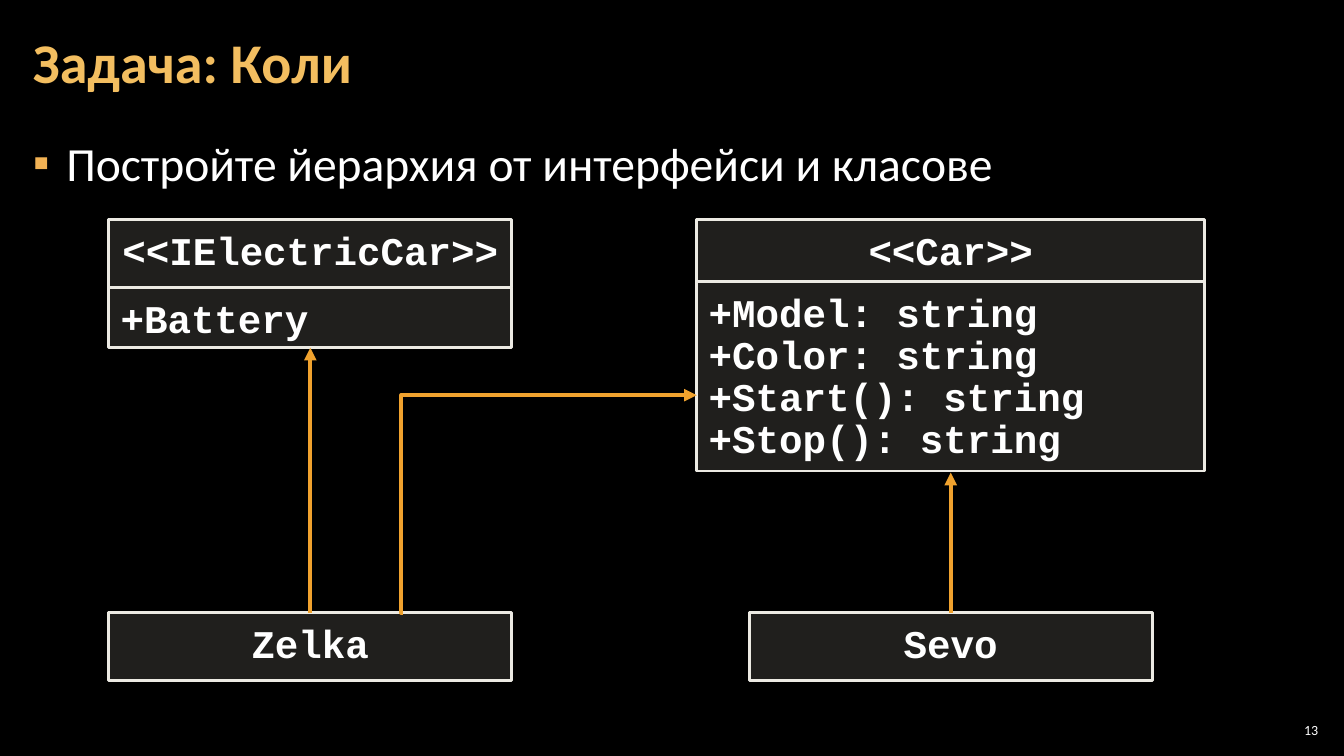
from lxml.etree import SubElement
from pptx import Presentation
from pptx.dml.color import RGBColor
from pptx.enum.shapes import MSO_CONNECTOR as Connector, MSO_SHAPE as Shape
from pptx.enum.text import MSO_ANCHOR as Anchor, MSO_AUTO_SIZE as AutoSize, PP_ALIGN as Align
from pptx.oxml.ns import qn
from pptx.util import Cm, Pt

WHITE, ORANGE = "FFFFFF", "F0A22E"
BOX_FILL, BOX_LINE = "D9D5C7", "ECEAE3"
CODE_FONT, TEXT_FONT = "Courier New", "Calibri"


def color(hex_text):
    return RGBColor.from_string(hex_text)


def place(shape, left, top, width, height):
    shape.left, shape.top = Cm(left), Cm(top)
    shape.width, shape.height = Cm(width), Cm(height)


def write(shape, lines, size, font=TEXT_FONT, fill=WHITE, bold=False, align=Align.LEFT,
          anchor=Anchor.TOP, margins=(0.3, 0.1), spacing=None, around=0, bullet=None):
    """Fill a shape with one paragraph per line; bullet is (character, color, indent)."""
    frame = shape.text_frame
    frame.text = "\n".join(lines)
    frame.word_wrap = True
    frame.auto_size = AutoSize.NONE
    frame.vertical_anchor = anchor
    frame.margin_left = frame.margin_right = Cm(margins[0])
    frame.margin_top = frame.margin_bottom = Cm(margins[1])
    for index, paragraph in enumerate(frame.paragraphs):
        paragraph.alignment = align
        paragraph.line_spacing = spacing
        paragraph.space_before = Pt(around if index else 0)
        paragraph.space_after = Pt(around)
        if bullet:
            add_bullet(paragraph, *bullet)
        for run in paragraph.runs:
            run.font.name = font
            run.font.size = Pt(size)
            run.font.bold = bold
            run.font.color.rgb = color(fill)


def add_bullet(paragraph, character, fill, indent):
    properties = paragraph._p.get_or_add_pPr()
    properties.set("marL", str(Cm(indent)))
    properties.set("indent", str(-Cm(indent)))
    bullet_color = SubElement(properties, qn("a:buClr"))
    SubElement(bullet_color, qn("a:srgbClr"), val=fill)
    SubElement(properties, qn("a:buChar"), char=character)


def add_compartment(slide, lines, left, top, width, height, align=Align.CENTER):
    shape = slide.shapes.add_shape(Shape.RECTANGLE, Cm(left), Cm(top), Cm(width), Cm(height))
    shape.shadow.inherit = False
    shape.fill.solid()
    shape.fill.fore_color.rgb = color(BOX_FILL)
    fill_color = shape._element.spPr.find(qn("a:solidFill")).find(qn("a:srgbClr"))
    SubElement(fill_color, qn("a:alpha"), val="15000")
    shape.line.color.rgb = color(BOX_LINE)
    shape.line.width = Pt(2)
    write(shape, lines, 28, CODE_FONT, bold=True, align=align,
          margins=(0.3, 0.3), spacing=Pt(30))


def add_class(slide, name, members, left, top, width, name_height, members_height=0):
    """Draw a class box: its name and, below it, its members if there are any."""
    add_compartment(slide, [name], left, top, width, name_height)
    if members:
        add_compartment(slide, members, left, top + name_height, width,
                        members_height, Align.LEFT)


def add_arrow(slide, start, end, kind=Connector.STRAIGHT):
    arrow = slide.shapes.add_connector(kind, *map(Cm, start + end))
    arrow.line.color.rgb = color(ORANGE)
    arrow.line.width = Pt(3)
    SubElement(arrow.line._get_or_add_ln(), qn("a:tailEnd"), type="triangle")
    properties = arrow._element.spPr
    SubElement(properties, qn("a:effectLst"))
    if kind == Connector.ELBOW:
        guides = properties.find(qn("a:prstGeom")).get_or_add_avLst()
        SubElement(guides, qn("a:gd"), name="adj1", fmla="val -600")


def add_heading(slide, left, width):
    title, body = slide.placeholders
    place(title, left, 0.1, width, 3.07)
    write(title, ["Задача: Коли"], 40, fill="F3BE60", bold=True,
          anchor=Anchor.MIDDLE, spacing=0.9)
    place(body, left, 3.2, width, 15.47)
    write(body, ["Постройте йерархия от интерфейси и класове"], 34,
          spacing=1.05, around=6, bullet=("▪", "F2B254", 0.84))


def add_diagram(slide, left, top):
    width, name_height, battery_height = 10.16, 1.7, 1.52
    car_left, car_width, car_name_height, car_height = left + 14.82, 12.8, 1.55, 4.78
    lower_top = top + 9.9
    electric_center = left + width / 2
    car_center = car_left + car_width / 2

    add_class(slide, "<<IElectricCar>>", ["+Battery"], left, top, width,
              name_height, battery_height)
    add_class(slide, "<<Car>>",
              ["+Model: string", "+Color: string", "+Start(): string", "+Stop(): string"],
              car_left, top, car_width, car_name_height, car_height)
    add_class(slide, "Sevo", [], car_center - width / 2, lower_top, width, name_height)
    add_class(slide, "Zelka", [], left, lower_top, width, name_height)

    add_arrow(slide, (electric_center, lower_top),
              (electric_center, top + name_height + battery_height))
    add_arrow(slide, (left + 7.42, lower_top), (car_left, top + 4.42), Connector.ELBOW)
    add_arrow(slide, (car_center, lower_top),
              (car_center, top + car_name_height + car_height + 0.04))


def add_page_number(slide, number, left, top):
    box = slide.shapes.add_textbox(Cm(left), Cm(top), Cm(1.19), Cm(0.53))
    write(box, [str(number)], 10, align=Align.RIGHT, anchor=Anchor.MIDDLE, margins=(0.1, 0.1))


def main():
    presentation = Presentation()
    presentation.slide_width, presentation.slide_height = Cm(33.87), Cm(19.05)
    slide = presentation.slides.add_slide(presentation.slide_layouts[1])
    slide.background.fill.solid()
    slide.background.fill.fore_color.rgb = color("000000")
    add_heading(slide, 0.53, 32.79)
    add_diagram(slide, 2.74, 5.54)
    add_page_number(slide, 13, 32.13, 18.14)
    presentation.save("out.pptx")


if __name__ == "__main__":
    main()
